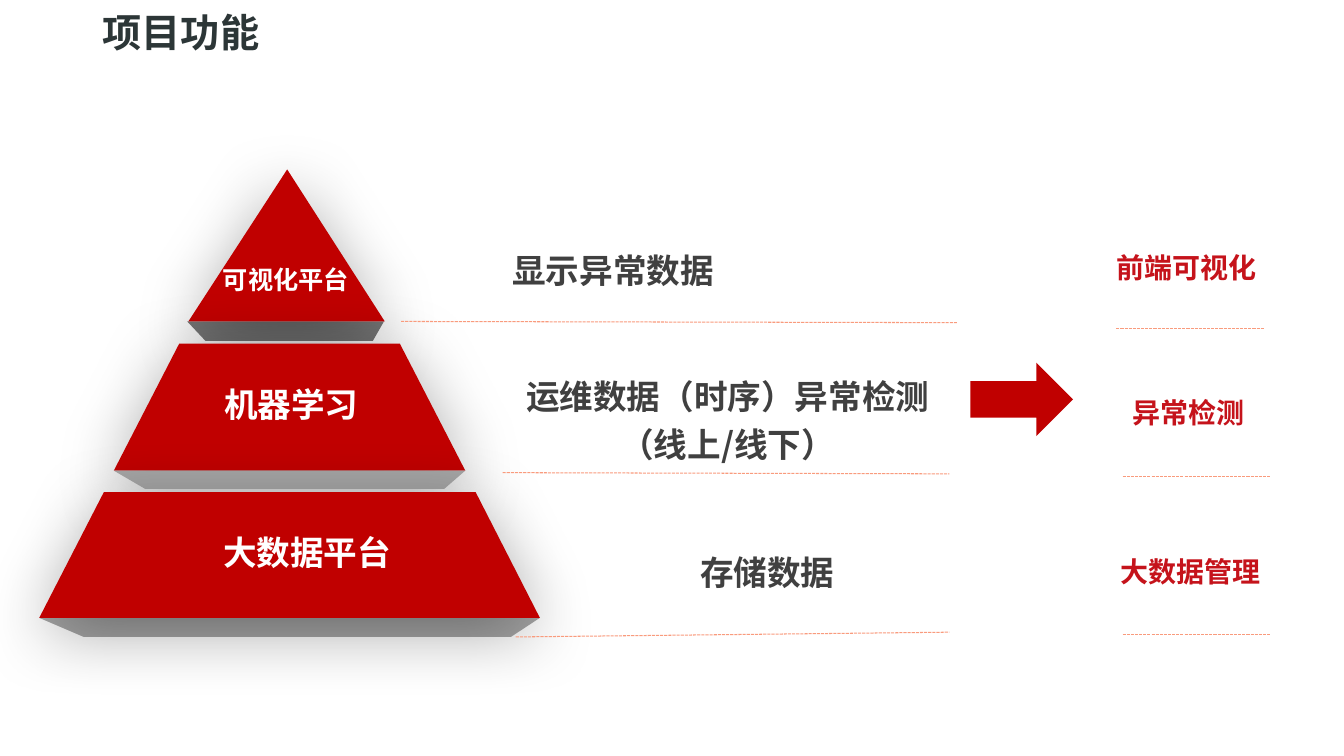
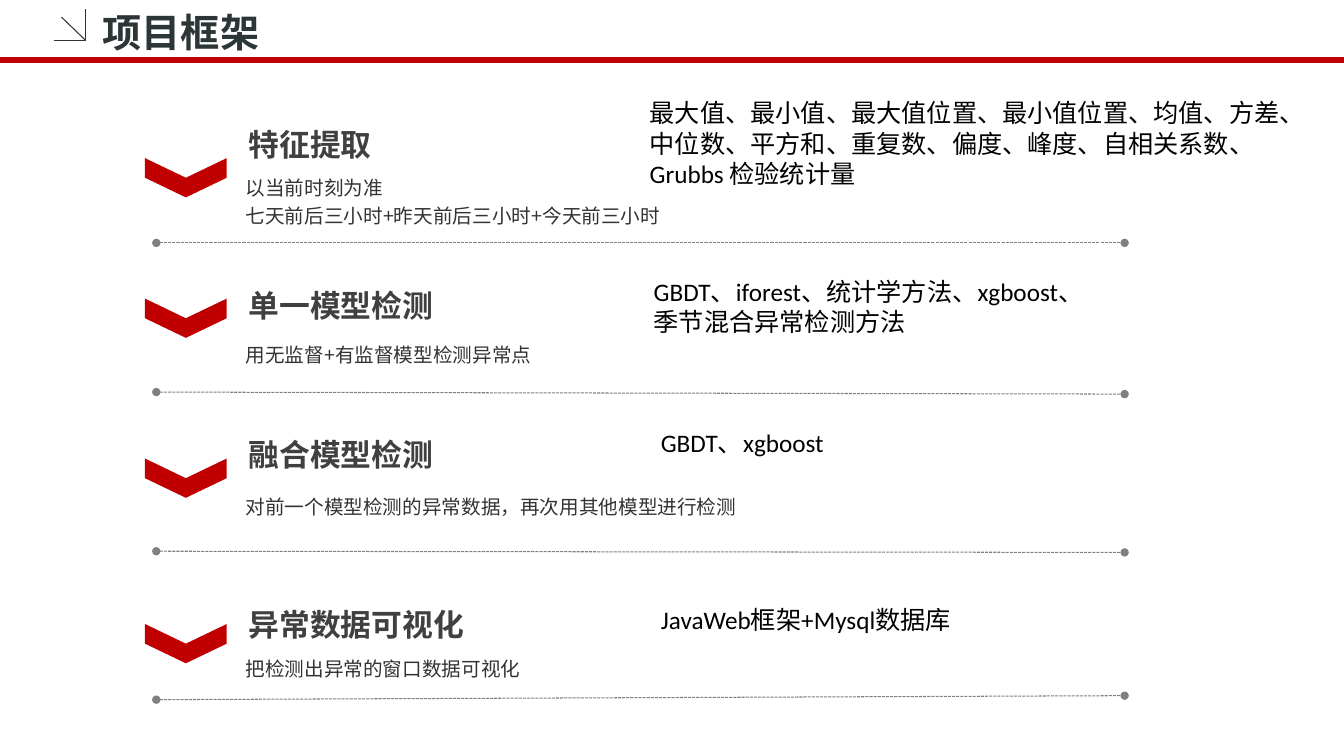
"""Build the project function and project framework slides."""
from lxml.etree import SubElement
from pptx import Presentation
from pptx.dml.color import RGBColor
from pptx.enum.dml import MSO_LINE_DASH_STYLE as Dash
from pptx.enum.shapes import MSO_CONNECTOR as Connector, MSO_SHAPE as Preset
from pptx.enum.text import MSO_ANCHOR as Anchor, MSO_AUTO_SIZE as AutoSize, PP_ALIGN as Align
from pptx.oxml.ns import qn
from pptx.util import Cm, Pt

COLORS = {
    "red": "C00000", "label": "C5131B", "title": "2C3637", "heading": "404040",
    "detail": "333333", "black": "000000", "white": "FFFFFF", "salmon": "F99B7D",
    "rule": "808080", "dark_side": "797979", "side": "A6A6A6",
}
CJK, LATIN = "Noto Sans CJK SC", "Calibri"
WIDTH, HEIGHT = 33.88, 19.05


def color(name):
    return RGBColor.from_string(COLORS[name])


class Deck:
    def __init__(self):
        self.presentation = Presentation()
        self.presentation.slide_width = Cm(WIDTH)
        self.presentation.slide_height = Cm(HEIGHT)
        self.slide = None

    def add_slide(self, title):
        self.slide = self.presentation.slides.add_slide(self.presentation.slide_layouts[6])
        frame = self.text(2.34, 0.1, 22.2, [title], 28, "title", bold=True).text_frame
        frame.vertical_anchor = Anchor.MIDDLE

    def text(self, left, top, width, lines, size, tone, bold=False,
             align=Align.LEFT, spacing=1.0, font=CJK):
        height = 0.25 + len(lines) * size * spacing * 0.042
        box = self.slide.shapes.add_textbox(Cm(left), Cm(top), Cm(width), Cm(height))
        frame = box.text_frame
        frame.word_wrap = True
        frame.auto_size = AutoSize.SHAPE_TO_FIT_TEXT
        frame.text = "\n".join(lines)
        for paragraph in frame.paragraphs:
            paragraph.alignment = align
            paragraph.line_spacing = spacing
            paragraph.font.size = Pt(size)
            paragraph.font.bold = bold
            paragraph.font.color.rgb = color(tone)
            paragraph.font.name = font
            if font == CJK:
                properties = paragraph._p.pPr.find(qn("a:defRPr"))
                SubElement(properties, qn("a:ea"), typeface=font)
        return box

    def line(self, start, end, tone, width=0.75, dashed=False, dots=False):
        points = [Cm(value) for value in (*start, *end)]
        connector = self.slide.shapes.add_connector(Connector.STRAIGHT, *points)
        connector.line.color.rgb = color(tone)
        connector.line.width = Pt(width)
        if dashed:
            connector.line.dash_style = Dash.SQUARE_DOT
        properties = connector._element.spPr
        if dots:
            for tag in ("a:headEnd", "a:tailEnd"):
                SubElement(properties.find(qn("a:ln")), qn(tag), type="oval")
        SubElement(properties, qn("a:effectLst"))

    def paint(self, shape, tone):
        shape.shadow.inherit = False
        shape.fill.solid()
        shape.fill.fore_color.rgb = color(tone)
        shape.line.fill.background()
        return shape

    def preset(self, kind, left, top, width, height, tone):
        lengths = [Cm(value) for value in (left, top, width, height)]
        return self.paint(self.slide.shapes.add_shape(kind, *lengths), tone)

    def trapezoid(self, upper, lower, tone):
        (left, right, top), (low_left, low_right, bottom) = upper, lower
        corners = [(low_left, bottom), (low_right, bottom), (right, top), (left, top)]
        points = [(Cm(x), Cm(y)) for x, y in corners]
        builder = self.slide.shapes.build_freeform(*points[0])
        builder.add_line_segments(points[1:], close=True)
        return self.paint(builder.convert_to_shape(), tone)

    def shade(self, shape):
        effects = shape._element.spPr.find(qn("a:effectLst"))
        shadow = SubElement(effects, qn("a:outerShdw"), blurRad=str(Pt(50)),
                            dist=str(Pt(10)), dir="5400000", rotWithShape="0")
        tint = SubElement(shadow, qn("a:srgbClr"), val=COLORS["black"])
        SubElement(tint, qn("a:alpha"), val="35000")


def add_functions(deck):
    deck.add_slide("项目功能")
    faces = [
        ((4.72, 9.68, 8.1), (5.18, 9.4, 8.59), "dark_side"),
        ((7.24, 7.24, 4.27), (4.75, 9.7, 8.1), "red"),
        ((4.52, 10.08, 8.66), (2.87, 11.73, 11.86), "red"),
        ((2.87, 11.73, 11.86), (3.66, 11.2, 12.32), "side"),
        ((0.99, 13.61, 15.57), (2.11, 12.88, 16.05), "side"),
        ((2.62, 11.99, 12.4), (0.99, 13.61, 15.57), "red"),
    ]
    for upper, lower, tone in faces:
        face = deck.trapezoid(upper, lower, tone)
        if tone == "red":
            deck.shade(face)

    layers = [
        (5.16, 6.53, 4.09, "可视化平台", 18),
        (4.22, 9.55, 6.25, "机器学习", 24),
        (4.22, 13.28, 7.04, "大数据平台", 24),
    ]
    for left, top, width, name, size in layers:
        deck.text(left, top, width, [name], size, "white", True, Align.CENTER)

    purposes = [
        (11.2, 5.97, 8.51, ["显示异常数据"]),
        (12.73, 9.14, 11.23, ["运维数据（时序）异常检测", "（线上/线下）"]),
        (14.53, 13.59, 9.63, ["存储数据"]),
    ]
    for left, top, width, lines in purposes:
        deck.text(left, top, width, lines, 24, "heading", True, Align.CENTER, 1.2)

    modules = [(27.36, 6.2, "前端可视化"), (27.42, 9.83, "异常检测"), (27.46, 13.84, "大数据管理")]
    for left, top, name in modules:
        deck.text(left, top, 5.1, [name], 20, "label", True, Align.CENTER)

    rules = [
        ((10.11, 8.1), (24.13, 8.13)),
        ((12.67, 11.91), (23.93, 11.94)),
        ((13, 16.05), (23.93, 15.93)),
        ((28.14, 8.28), (31.88, 8.28)),
        ((28.3, 12.01), (32.03, 12.01)),
        ((28.3, 16), (32.03, 16)),
    ]
    for start, end in rules:
        deck.line(start, end, "salmon", dashed=True)
    deck.preset(Preset.RIGHT_ARROW, 24.46, 9.14, 2.59, 1.85, "red")


def add_framework(deck):
    deck.add_slide("项目框架")
    deck.line((0, 1.52), (WIDTH, 1.52), "red", 4.5)
    corner = (2.16, 1.02)
    for start in ((1.37, 1.02), (2.16, 0.23), (1.55, 0.43)):
        deck.line(start, corner, "title")

    steps = [
        (3.45, 3.05, "特征提取", 4.19,
         ["以当前时刻为准", "七天前后三小时+昨天前后三小时+今天前三小时"], 6.12, 6.12),
        (6.99, 7.11, "单一模型检测", 8.41, ["用无监督+有监督模型检测异常点"], 9.88, 9.93),
        (11.02, 10.85, "融合模型检测", 12.22,
         ["对前一个模型检测的异常数据，再次用其他模型进行检测"], 13.89, 13.92),
        (15.19, 15.14, "异常数据可视化", 16.31, ["把检测出异常的窗口数据可视化"], 17.63, 17.53),
    ]
    for chevron_top, name_top, name, detail_top, details, rule_left, rule_right in steps:
        chevron = deck.preset(Preset.CHEVRON, 4.19, chevron_top, 0.99, 2.06, "red")
        chevron.rotation = 90
        chevron.adjustments[0] = 0.5
        deck.line((3.94, rule_left), (28.35, rule_right), "rule", dashed=True, dots=True)
        deck.text(6.02, name_top, 15.7, [name], 22, "heading", True)
        deck.text(5.94, detail_top, 20.6, details, 14, "detail", spacing=1.2)

    methods = [
        (16.13, 2.34, 17.2, ["最大值、最小值、最大值位置、最小值位置、均值、方差、",
                             "中位数、平方和、重复数、偏度、峰度、自相关系数、",
                             "Grubbs 检验统计量"]),
        (16.23, 6.83, 11.46, ["GBDT、iforest、统计学方法、xgboost、", "季节混合异常检测方法"]),
        (16.41, 10.64, 4.65, ["GBDT、xgboost"]),
        (16.41, 15.11, 7.9, ["JavaWeb框架+Mysql数据库"]),
    ]
    for left, top, width, lines in methods:
        deck.text(left, top, width, lines, 18, "black", font=LATIN)


def main():
    deck = Deck()
    add_functions(deck)
    add_framework(deck)
    deck.presentation.save("out.pptx")


if __name__ == "__main__":
    main()
